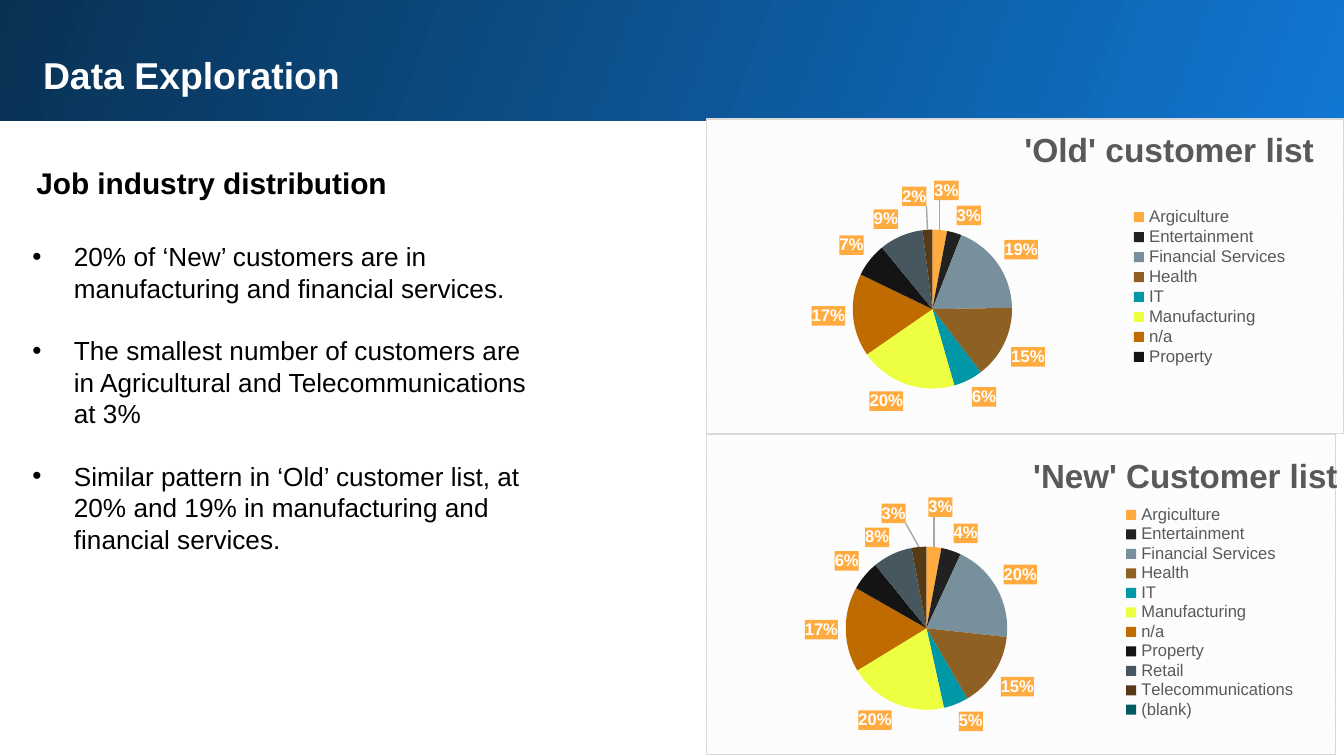
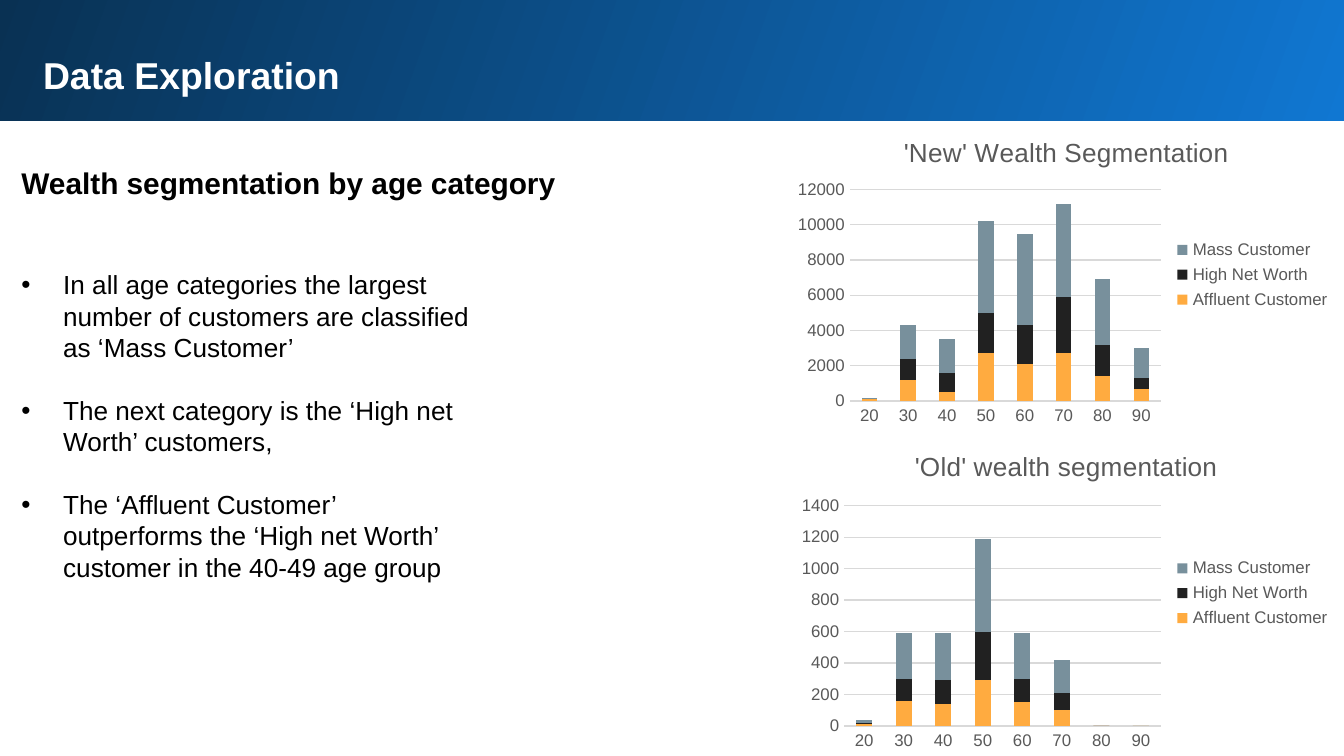
"""Build two data exploration slides with pie and stacked column charts."""
from copy import deepcopy
from dataclasses import dataclass
from typing import Any, NamedTuple, Optional

from lxml import etree
from pptx import Presentation
from pptx.chart.data import CategoryChartData
from pptx.dml.color import RGBColor
from pptx.enum.chart import (XL_CHART_TYPE, XL_LABEL_POSITION,
                             XL_LEGEND_POSITION, XL_TICK_MARK)
from pptx.enum.shapes import MSO_SHAPE
from pptx.enum.text import MSO_ANCHOR, MSO_AUTO_SIZE, PP_ALIGN
from pptx.oxml import parse_xml
from pptx.oxml.ns import nsdecls, qn
from pptx.util import Inches, Pt

PIE, STACK = XL_CHART_TYPE.PIE, XL_CHART_TYPE.COLUMN_STACKED
OUTER, RIGHT = XL_LABEL_POSITION.OUTSIDE_END, XL_LEGEND_POSITION.RIGHT
NO_TICK = XL_TICK_MARK.NONE
RECT = MSO_SHAPE.RECTANGLE
TOP, LEFT, FIXED = MSO_ANCHOR.TOP, PP_ALIGN.LEFT, MSO_AUTO_SIZE.NONE

WHITE = RGBColor(0xFF, 0xFF, 0xFF)
BLACK = RGBColor(0x00, 0x00, 0x00)
GREY = RGBColor(0x59, 0x59, 0x59)
ASH = RGBColor(0xA6, 0xA6, 0xA6)
PALE = RGBColor(0xD9, 0xD9, 0xD9)
MIST = RGBColor(0xF2, 0xF2, 0xF2)
BLUE = RGBColor(0x10, 0x77, 0xD2)
NAVY = RGBColor(0x09, 0x31, 0x53)
AMBER = RGBColor(0xFF, 0xAB, 0x40)
COAL = RGBColor(0x21, 0x21, 0x21)
SLATE = RGBColor(0x78, 0x90, 0x9C)
HUES = [AMBER, COAL, SLATE, RGBColor(0x8F, 0x60, 0x24),
        RGBColor(0x00, 0x97, 0xA7), RGBColor(0xEE, 0xFF, 0x41),
        RGBColor(0xBF, 0x6B, 0x00), RGBColor(0x14, 0x14, 0x14),
        RGBColor(0x46, 0x57, 0x60), RGBColor(0x56, 0x3A, 0x16),
        RGBColor(0x00, 0x5B, 0x64)]

CELL = Inches(0.1)  # grid of 100 columns by 56.25 rows
FACE = "Arial"
HEAD = "Data Exploration"
JOBS = ["Argiculture", "Entertainment", "Financial Services", "Health", "IT",
        "Manufacturing", "n/a", "Property", "Retail", "Telecommunications"]
AGES = [str(age) for age in range(20, 100, 10)]
TIERS = ["Affluent Customer", "High Net Worth", "Mass Customer"]


class Box(NamedTuple):
    """Left, top, width and height, in grid cells or as shares of a chart."""
    x: float
    y: float
    w: float
    h: float

    def spot(self) -> list[int]:
        """Return the box in slide units."""
        return [round(size * CELL) for size in self]


@dataclass
class Graph:
    """One chart: rows of values by series, and the place of its parts."""
    kind: Any
    title: str
    box: Box
    cats: list[str]
    rows: dict[str, list[Optional[int]]]
    plot: Box
    head: Optional[Box] = None
    key: Optional[Box] = None
    shown: int = 99


@dataclass
class Page:
    """One slide: subheading, bullet list and charts."""
    sub: str
    spot: Box
    items: list[str]
    body: Box
    graphs: list[Graph]


BAND = Box(-0.2, -0.2, 100.5, 9.2)
TITLE = Box(2.2, 2.9, 93.7, 5.1)

PAGES = [
    Page("Job industry distribution", Box(2.2, 11.8, 34.8, 3.7),
         ["20% of ‘New’ customers are in manufacturing and financial "
          "services.",
          "The smallest number of customers are in Agricultural and "
          "Telecommunications at 3%",
          "Similar pattern in ‘Old’ customer list, at 20% and 19% in "
          "manufacturing and financial services."],
         Box(1.9, 17.4, 39.2, 24.6),
         [Graph(PIE, "'Old' customer list", Box(52.5, 8.8, 47.5, 23.5), JOBS,
                {"Series 1": [3, 3, 19, 15, 6, 20, 17, 7, 9, 2]},
                Box(0.23, 0.35, 0.25, 0.51), Box(0.49, 0.01, 0.45, 0.12),
                Box(0.64, 0.28, 0.3, 0.51), 8),
          Graph(PIE, "'New' Customer list", Box(52.5, 32.3, 47.5, 23.9),
                JOBS + ["(blank)"],
                {"Series 1": [3, 4, 20, 15, 5, 20, 17, 6, 8, 3, None]},
                Box(0.22, 0.35, 0.26, 0.51), Box(0.51, 0.04, 0.47, 0.12),
                Box(0.65, 0.22, 0.3, 0.67))]),
    Page("Wealth segmentation by age category", Box(1.1, 11.8, 43.3, 3.7),
         ["In all age categories the largest number of customers are "
          "classified as ‘Mass Customer’",
          "The next category is the ‘High net Worth’ customers,",
          "The ‘Affluent Customer’ outperforms the ‘High net Worth’ "
          "customer in the 40-49 age group"],
         Box(1.1, 19.5, 35.2, 24.6),
         [Graph(STACK, "'New' Wealth Segmentation",
                Box(58.7, 8.7, 41.3, 23.5), AGES,
                dict(zip(TIERS, [
                    [100, 1200, 500, 2700, 2100, 2700, 1400, 700],
                    [None, 1200, 1100, 2300, 2200, 3200, 1800, 600],
                    [100, 1900, 1900, 5200, 5200, 5300, 3700, 1700]])),
                Box(0.11, 0.23, 0.56, 0.67)),
          Graph(STACK, "'Old' wealth segmentation",
                Box(58.7, 32.1, 41.3, 24.1), AGES,
                dict(zip(TIERS, [
                    [10, 160, 140, 290, 150, 100, 0, 0],
                    [10, 140, 150, 310, 150, 110, 0, None],
                    [20, 290, 300, 590, 290, 210, None, 0]])),
                Box(0.1, 0.23, 0.57, 0.68))]),
]


def style(obj: Any, **vals: Any) -> None:
    """Set each named attribute of an object."""
    for name, val in vals.items():
        setattr(obj, name, val)


def ink(font: Any, size: float, color: RGBColor, bold: bool = False) -> None:
    """Format a font."""
    style(font, name=FACE, size=Pt(size), bold=bold)
    font.color.rgb = color


def put(shape: Any, box: Box) -> None:
    """Move a shape to a box."""
    style(shape, **dict(zip(("left", "top", "width", "height"), box.spot())))


def write(shape: Any, lines: list[str], pad: float, size: float,
          color: RGBColor, bold: bool = False) -> None:
    """Fill a shape with formatted paragraphs."""
    frame, edge = shape.text_frame, Inches(pad)
    frame.text = "\n".join(lines)
    style(frame, margin_left=edge, margin_right=edge, margin_top=edge,
          margin_bottom=edge, word_wrap=True, vertical_anchor=TOP,
          auto_size=FIXED)
    for para in frame.paragraphs:
        style(para, alignment=LEFT, space_before=Pt(0))
        ink(para.runs[0].font, size, color, bold)


def dot(shape: Any) -> None:
    """Give the paragraphs of a shape round bullets and gaps."""
    for para in shape.text_frame.paragraphs:
        style(para, line_spacing=1.0, space_after=Pt(16.8))
        props = para._p.get_or_add_pPr()
        props.set("marL", str(Inches(0.31)))
        props.set("indent", str(-Inches(0.31)))
        etree.SubElement(props, qn("a:buChar")).set("char", "•")


def frame(box: Box) -> Any:
    """Make a chart layout from shares of the chart's size."""
    parts = "".join(f'<c:{tag} val="{val}"/>' for tag, val in zip(
        ("xMode", "yMode", "x", "y", "w", "h"), ("edge", "edge", *box)))
    return parse_xml(f'<c:layout {nsdecls("c")}><c:manualLayout>'
                     f'<c:layoutTarget val="inner"/>{parts}'
                     '</c:manualLayout></c:layout>')


def place(part: Any, box: Optional[Box]) -> None:
    """Fix the place of a chart's plot, title or legend."""
    if box is None:
        return
    for old in part.findall(qn("c:layout")):
        part.remove(old)
    over = part.find(qn("c:overlay"))
    if over is None:
        part.insert(0, frame(box))
    else:
        over.addprevious(frame(box))


def paint(color: RGBColor) -> str:
    """Return the markup of a solid fill."""
    return f'<a:solidFill><a:srgbClr val="{color}"/></a:solidFill>'


def coat(part: Any, fill: str) -> None:
    """Put shape properties before the text properties of a chart part."""
    part.find(qn("c:txPr")).addprevious(parse_xml(
        f'<c:spPr {nsdecls("c", "a")}>{fill}</c:spPr>'))


def label(series: Any) -> None:
    """Add percent labels on amber, with the first and last job moved out."""
    labels = series.data_labels
    style(labels, show_percentage=True, show_value=False, position=OUTER)
    ink(labels.font, 9, WHITE, True)
    root = labels._element
    coat(root, paint(AMBER))
    lead = root.find(qn("c:showLeaderLines"))
    if lead is None:
        lead = etree.SubElement(root, qn("c:showLeaderLines"))
    lead.set("val", "1")
    base = [part for part in root if part is not lead]
    lead.addnext(parse_xml(
        f'<c:leaderLines {nsdecls("c", "a")}><c:spPr><a:ln w="{Pt(0.75)}">'
        f'{paint(ASH)}</a:ln></c:spPr></c:leaderLines>'))
    for rank, (idx, x, y) in enumerate([(0, -0.01, -0.07),
                                        (9, -0.02, -0.05)]):
        item = parse_xml(
            f'<c:dLbl {nsdecls("c")}><c:idx val="{idx}"/><c:layout>'
            f'<c:manualLayout><c:x val="{x}"/><c:y val="{y}"/>'
            '</c:manualLayout></c:layout></c:dLbl>')
        item.extend(deepcopy(base))
        item.find(qn("c:dLblPos")).set("val", "bestFit")
        root.insert(rank, item)


def dress_pie(chart: Any, graph: Graph) -> None:
    """Colour the slices and the hatched ground of a pie chart."""
    series = chart.plots[0].series[0]
    for idx in range(len(graph.cats)):
        fill = series.points[idx].format.fill
        fill.solid()
        fill.fore_color.rgb = HUES[idx]
    label(series)
    coat(chart._chartSpace,
         f'<a:pattFill prst="dkDnDiag"><a:fgClr><a:srgbClr val="{MIST}"/>'
         f'</a:fgClr><a:bgClr><a:srgbClr val="{WHITE}"/></a:bgClr>'
         f'</a:pattFill><a:ln w="{Pt(0.75)}">{paint(PALE)}</a:ln>')
    mark = chart.legend._element.find(qn("c:legendPos"))
    for idx in reversed(range(graph.shown, len(graph.cats))):
        mark.addnext(parse_xml(
            f'<c:legendEntry {nsdecls("c")}><c:idx val="{idx}"/>'
            '<c:delete val="1"/></c:legendEntry>'))


def dress_stack(chart: Any) -> None:
    """Colour the columns and axes of a stacked chart."""
    plot = chart.plots[0]
    style(plot, gap_width=150, overlap=100, vary_by_categories=False)
    for series, hue in zip(plot.series, HUES):
        series.format.fill.solid()
        series.format.fill.fore_color.rgb = hue
    cat, val = chart.category_axis, chart.value_axis
    for axis in (cat, val):
        style(axis, major_tick_mark=NO_TICK, minor_tick_mark=NO_TICK)
        ink(axis.tick_labels.font, 9, GREY)
    val.format.line.fill.background()
    for line in (cat.format.line, val.major_gridlines.format.line):
        line.color.rgb = PALE
        line.width = Pt(0.75)
    coat(chart._chartSpace, "<a:noFill/><a:ln><a:noFill/></a:ln>")


def draw(slide: Any, graph: Graph) -> None:
    """Add one chart to a slide."""
    data = CategoryChartData()
    data.categories = graph.cats
    for name, vals in graph.rows.items():
        data.add_series(name, vals)
    chart = slide.shapes.add_chart(graph.kind, *graph.box.spot(), data).chart
    ink(chart.font, 10, BLACK)
    style(chart, has_title=True, has_legend=True)
    style(chart.legend, position=RIGHT, include_in_layout=False)
    ink(chart.legend.font, 9, GREY)
    text = chart.chart_title.text_frame
    text.text = graph.title
    pie = graph.kind == PIE
    ink(text.paragraphs[0].runs[0].font, 18 if pie else 14, GREY, pie)
    if pie:
        dress_pie(chart, graph)
    else:
        dress_stack(chart)
    place(chart._chartSpace.chart.plotArea, graph.plot)
    place(chart.chart_title._element, graph.head)
    place(chart.legend._element, graph.key)


def build(deck: Any, page: Page) -> None:
    """Add one slide with band, title, list and charts."""
    slide = deck.slides.add_slide(deck.slide_layouts[1])
    band = slide.shapes.add_shape(RECT, *BAND.spot())
    band.shadow.inherit = False
    band.line.fill.background()
    band.fill.gradient()
    band.fill.gradient_angle = 160
    for spot, (stop, hue) in enumerate(zip(band.fill.gradient_stops,
                                           (BLUE, NAVY))):
        stop.color.rgb = hue
        stop.position = spot
    slide.shapes._spTree.insert(2, band._element)
    title, body = slide.shapes.title, slide.placeholders[1]
    put(title, TITLE)
    write(title, [HEAD], 0.1, 20, WHITE, True)
    put(body, page.body)
    write(body, page.items, 0.05, 14, BLACK)
    dot(body)
    sub = slide.shapes.add_textbox(*page.spot.spot())
    write(sub, [page.sub], 0.05, 16, BLACK, True)
    for graph in page.graphs:
        draw(slide, graph)


deck = Presentation()
style(deck, slide_width=100 * CELL, slide_height=round(56.25 * CELL))
for page in PAGES:
    build(deck, page)
deck.save("out.pptx")
